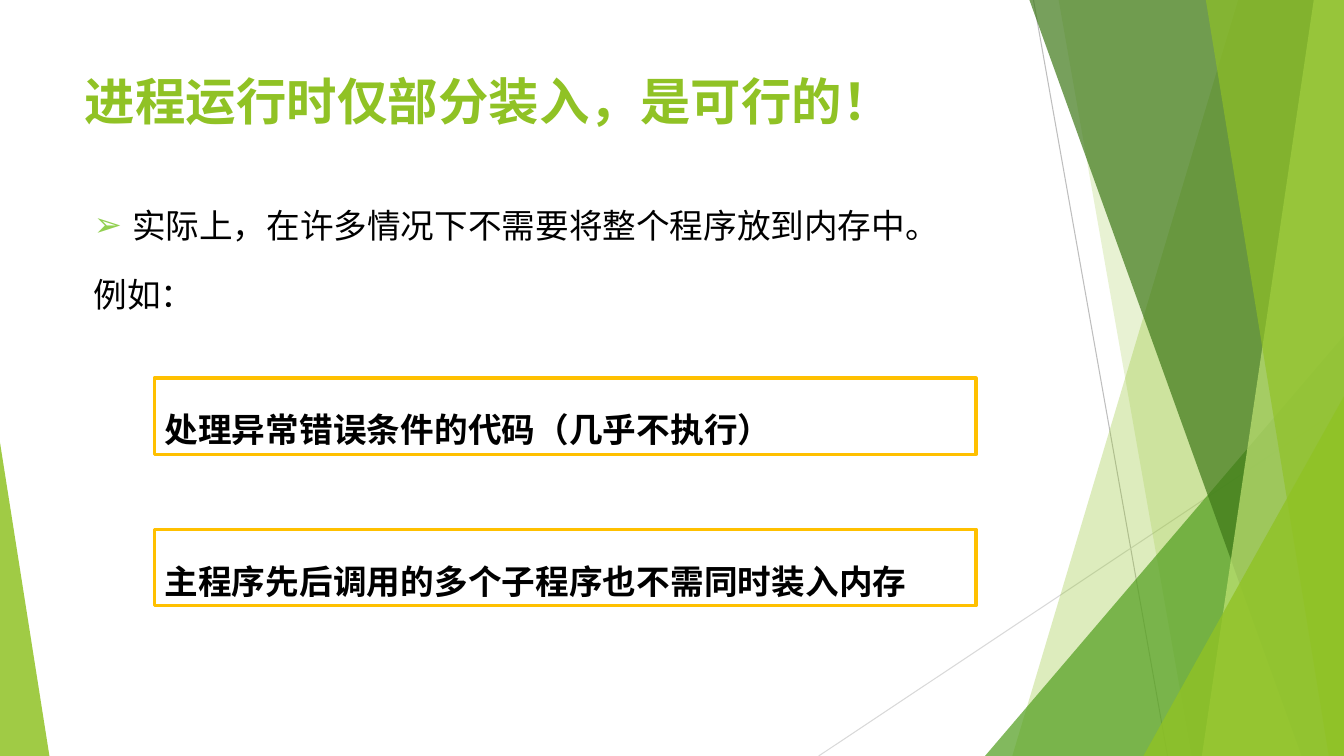
from lxml import etree
from pptx import Presentation
from pptx.dml.color import RGBColor
from pptx.enum.shapes import MSO_CONNECTOR, MSO_SHAPE
from pptx.enum.text import MSO_ANCHOR, MSO_AUTO_SIZE, PP_ALIGN
from pptx.oxml.ns import qn
from pptx.util import Inches, Pt

RECTANGLE = MSO_SHAPE.RECTANGLE
STRAIGHT = MSO_CONNECTOR.STRAIGHT
TOP = MSO_ANCHOR.TOP
LEFT = PP_ALIGN.LEFT
NO_AUTOFIT = MSO_AUTO_SIZE.NONE

WIDTH, HEIGHT = 13.33, 7.5
FONT = "Noto Sans CJK SC"
COLORS = {
    "text": "000000",
    "lime": "90C225",
    "green": "539F20",
    "forest": "3E7818",
    "pale": "C0E374",
    "bullet": "92D050",
    "frame": "FFC000",
    "line_dark": "BEBEBE",
    "line_light": "D9D9D9",
}
TOP_RIGHT, BOTTOM_RIGHT = (WIDTH, 0), (WIDTH, HEIGHT)

# Corner points, colour, opacity in percent
FACETS = [
    ([TOP_RIGHT, (12.28, 0), (10.04, HEIGHT), BOTTOM_RIGHT], "lime", 30),
    ([TOP_RIGHT, (10.5, 0), (11.82, HEIGHT), BOTTOM_RIGHT], "lime", 20),
    ([(WIDTH, 3.33), (9.77, HEIGHT), BOTTOM_RIGHT], "green", 72),
    ([TOP_RIGHT, (10.21, 0), (12.91, HEIGHT), BOTTOM_RIGHT], "forest", 70),
    ([TOP_RIGHT, (13.03, 0), (11.92, HEIGHT), BOTTOM_RIGHT], "pale", 70),
    ([TOP_RIGHT, (11.96, 0), (13.18, HEIGHT), BOTTOM_RIGHT], "lime", 65),
    ([(WIDTH, 3.93), (11.34, HEIGHT), BOTTOM_RIGHT], "lime", 80),
    ([(0, 4.39), (0, HEIGHT), (0.49, HEIGHT)], "lime", 85),
]
EXAMPLES = [
    "处理异常错误条件的代码（几乎不执行）",
    "主程序先后调用的多个子程序也不需同时装入内存",
]


def rgb(name):
    return RGBColor.from_string(COLORS[name])


class SlideBuilder:
    """Holds the current slide and draws elements in its style."""

    def __init__(self, slide):
        self.slide = slide
        self.shapes = slide.shapes

    def line(self, start, end, color):
        points = [Inches(value) for value in (*start, *end)]
        connector = self.shapes.add_connector(STRAIGHT, *points)
        connector.line.color.rgb = rgb(color)
        connector.line.width = Pt(0.75)
        etree.SubElement(connector._element.spPr, qn("a:effectLst"))

    def facet(self, corners, color, opacity):
        points = [(Inches(x), Inches(y)) for x, y in corners]
        builder = self.shapes.build_freeform(*points[0])
        builder.add_line_segments(points[1:], close=True)
        shape = builder.convert_to_shape()
        shape.shadow.inherit = False
        shape.line.fill.background()
        shape.fill.solid()
        shape.fill.fore_color.rgb = rgb(color)
        color_element = shape._element.spPr.find(f"{qn('a:solidFill')}/{qn('a:srgbClr')}")
        etree.SubElement(color_element, qn("a:alpha"), val=str(opacity * 1000))

    def placeholder(self, shape, left, top, width, height):
        """Move a placeholder to its place, in front of the facets."""
        shape.left, shape.top = Inches(left), Inches(top)
        shape.width, shape.height = Inches(width), Inches(height)
        self.shapes._spTree.append(shape._element)
        return self.frame(shape, 0.01)

    def frame(self, shape, top_inset):
        frame = shape.text_frame
        frame.word_wrap = True
        frame.auto_size = NO_AUTOFIT
        frame.vertical_anchor = TOP
        frame.margin_left = frame.margin_right = frame.margin_bottom = 0
        frame.margin_top = Inches(top_inset)
        return frame

    def add_text(self, paragraph, text, size=24, color="text", bold=False, space_before=0, indent=(0, 0)):
        paragraph.alignment = LEFT
        paragraph.space_before = Pt(space_before)
        properties = paragraph._p.get_or_add_pPr()
        for name, value in zip(("marL", "indent"), indent):
            properties.set(name, str(Inches(value)))
        run = paragraph.add_run()
        run.text = text
        run.font.name = FONT
        run.font.size = Pt(size)
        run.font.bold = bold
        run.font.color.rgb = rgb(color)
        run_properties = run._r.get_or_add_rPr()
        etree.SubElement(run_properties, qn("a:ea"), typeface=FONT)
        if bold:
            run_properties.set("spc", "10")

    def bullet(self, paragraph, character=None):
        properties = paragraph._p.get_or_add_pPr()
        if character is None:
            etree.SubElement(properties, qn("a:buNone"))
            return
        bullet_color = etree.SubElement(properties, qn("a:buClr"))
        etree.SubElement(bullet_color, qn("a:srgbClr"), val=COLORS["bullet"])
        etree.SubElement(properties, qn("a:buChar"), char=character)

    def title(self, text):
        frame = self.placeholder(self.shapes.title, 0.83, 0.69, 8.05, 0.63)
        self.add_text(frame.paragraphs[0], text, 36, "lime", True, 1, (0.01, 0))

    def body(self, point, lead_in):
        frame = self.placeholder(self.slide.placeholders[1], 0.92, 2.02, 8.4, 1.23)
        first = frame.paragraphs[0]
        self.add_text(first, point, space_before=1, indent=(0.39, -0.38))
        self.bullet(first, "➢")
        second = frame.add_paragraph()
        self.add_text(second, lead_in, space_before=21, indent=(0.01, 0))
        self.bullet(second)

    def example_box(self, top, text):
        shape = self.shapes.add_shape(RECTANGLE, Inches(1.53), Inches(top), Inches(8.15), Inches(0.76))
        shape.shadow.inherit = False
        shape.fill.background()
        shape.line.color.rgb = rgb("frame")
        shape.line.width = Pt(2.25)
        frame = self.frame(shape, 0.31)
        self.add_text(frame.paragraphs[0], text, bold=True, indent=(0.1, 0))


def main():
    presentation = Presentation()
    presentation.slide_width = Inches(WIDTH)
    presentation.slide_height = Inches(HEIGHT)
    builder = SlideBuilder(presentation.slides.add_slide(presentation.slide_layouts[1]))

    builder.line((10.25, 0), (11.58, HEIGHT), "line_dark")
    builder.line((WIDTH, 4.03), (8.12, HEIGHT), "line_light")
    for corners, color, opacity in FACETS:
        builder.facet(corners, color, opacity)

    builder.title("进程运行时仅部分装入，是可行的！")
    builder.body("实际上，在许多情况下不需要将整个程序放到内存中。", "例如：")
    for index, example in enumerate(EXAMPLES):
        builder.example_box(3.75 + 1.5 * index, example)

    presentation.save("out.pptx")


if __name__ == "__main__":
    main()
